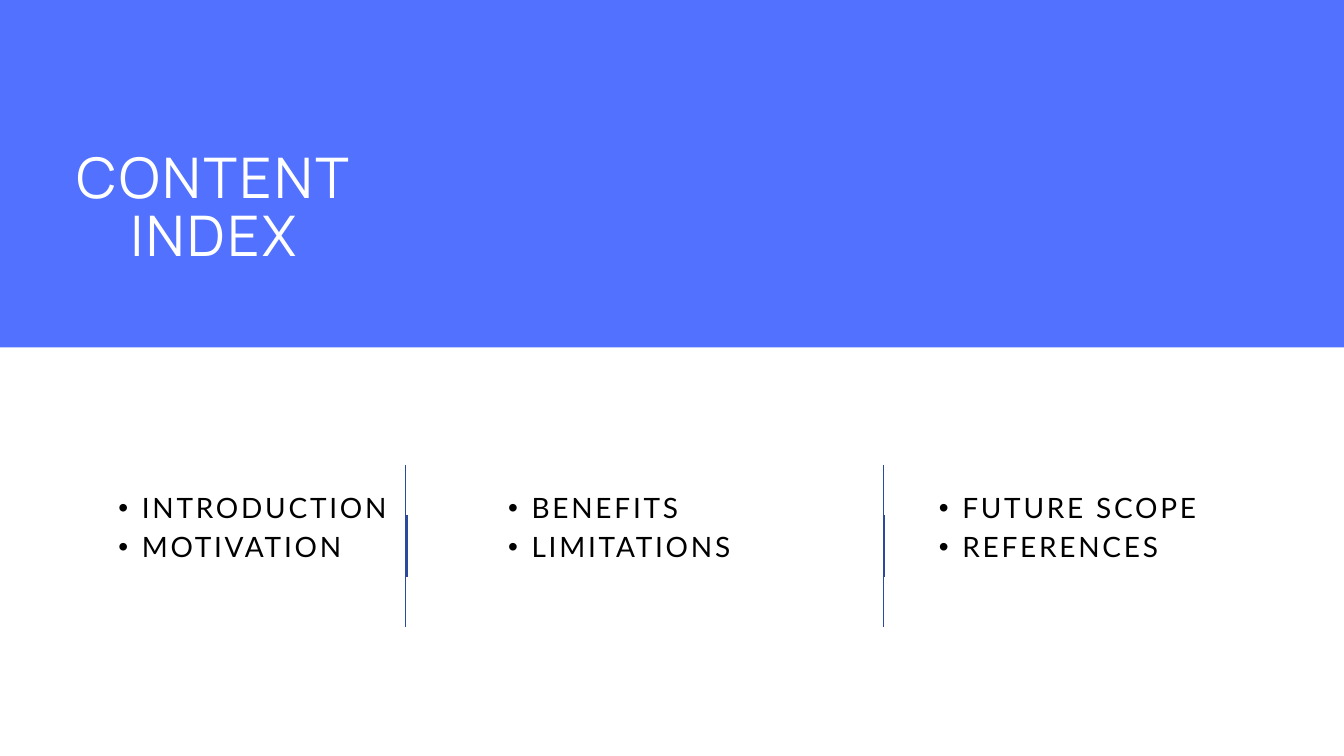
from dataclasses import dataclass

from lxml import etree
from pptx import Presentation
from pptx import util as u
from pptx.dml.color import RGBColor
from pptx.enum import shapes, text
from pptx.oxml.ns import qn


@dataclass(frozen=True)
class Theme:
    band: str = "5271FF"
    rule: str = "2B4A9D"
    ink: str = "000000"
    paper: str = "FFFFFF"
    head: str = "Manrope"
    body: str = "Lato"
    big: int = 60
    mid: int = 30
    track: int = 300  # letter spacing, hundredths of a point


class Deck:
    """Holds the theme and the slide being drawn."""

    def __init__(self, theme):
        self.theme = theme
        self.file = Presentation()
        self.file.slide_width = u.Inches(20)
        self.file.slide_height = u.Inches(11.25)
        self.slide = None

    def add(self, name):
        layout = self.file.slide_layouts.get_by_name(name)
        self.slide = self.file.slides.add_slide(layout)
        fill = self.slide.background.fill
        fill.solid()
        fill.fore_color.rgb = RGBColor.from_string(self.theme.paper)

    def frame(self, holder, x, y, w, h):
        """Move a placeholder to the front and clear its margins."""
        self.slide.shapes._spTree.append(holder._element)
        holder.left, holder.top = u.Inches(x), u.Inches(y)
        holder.width, holder.height = u.Inches(w), u.Inches(h)
        box = holder.text_frame
        box.margin_left = box.margin_right = 0
        box.margin_top = box.margin_bottom = 0
        box.word_wrap = True
        box.auto_size = text.MSO_AUTO_SIZE.NONE
        box.vertical_anchor = text.MSO_ANCHOR.TOP
        return box

    def words(self, para, words, face, size, color, lead):
        para.line_spacing = u.Pt(lead)
        para.space_before = para.space_after = u.Pt(0)
        run = para.add_run()
        run.text = words
        font = run.font
        font.name, font.size, font.bold = face, u.Pt(size), False
        font.color.rgb = RGBColor.from_string(color)
        run._r.get_or_add_rPr().set("spc", str(self.theme.track))

    def title(self, words, *place):
        look = self.theme
        para = self.frame(self.slide.shapes.title, *place).paragraphs[0]
        para.alignment = text.PP_ALIGN.CENTER
        self.words(para, words, look.head, look.big, look.paper, 63)

    def bullets(self, slot, items, *place):
        look = self.theme
        box = self.frame(self.slide.placeholders[slot], *place)
        for i, item in enumerate(items):
            para = box.add_paragraph() if i else box.paragraphs[0]
            para.level = 1
            props = para._p.get_or_add_pPr()
            props.set("marL", str(u.Inches(0.71)))
            props.set("indent", str(u.Inches(-0.35)))
            etree.SubElement(props, qn("a:buFont")).set("typeface", "Arial")
            etree.SubElement(props, qn("a:buChar")).set("char", "•")
            self.words(para, item, look.body, look.mid, look.ink, 42)

    def band(self, w, h):
        shape = self.slide.shapes.add_shape(
            shapes.MSO_SHAPE.RECTANGLE, 0, 0, u.Inches(w), u.Inches(h))
        shape.shadow.inherit = False
        shape.fill.solid()
        shape.fill.fore_color.rgb = RGBColor.from_string(self.theme.band)
        shape.line.fill.background()

    def rule(self, x, low, high, width):
        line = self.slide.shapes.add_connector(
            shapes.MSO_CONNECTOR.STRAIGHT,
            u.Inches(x), u.Inches(low), u.Inches(x), u.Inches(high))
        line.line.color.rgb = RGBColor.from_string(self.theme.rule)
        line.line.width = u.Pt(width)
        etree.SubElement(line._element.spPr, qn("a:effectLst"))

    def trim(self):
        """Remove the placeholders left empty."""
        for holder in list(self.slide.placeholders):
            if not holder.text_frame.text:
                self.slide.shapes._spTree.remove(holder._element)


def main():
    deck = Deck(Theme())
    deck.add("Comparison")
    deck.band(20, 5.17)
    for x in (6.03, 13.14):
        deck.rule(x, 9.33, 6.92, 0.75)
        deck.rule(x + 0.02, 8.58, 7.67, 2.25)
    deck.title("CONTENT INDEX", 0.46, 2.24, 5.43, 1.85)
    columns = [
        (1.4, ["INTRODUCTION", "MOTIVATION"]),
        (7.2, ["BENEFITS", "LIMITATIONS"]),
        (13.61, ["FUTURE SCOPE", "REFERENCES"]),
    ]
    for slot, (x, items) in enumerate(columns, 1):
        deck.bullets(slot, items, x, 7.22, 5.26, 1.74)
    deck.trim()
    deck.file.save("out.pptx")


if __name__ == "__main__":
    main()
